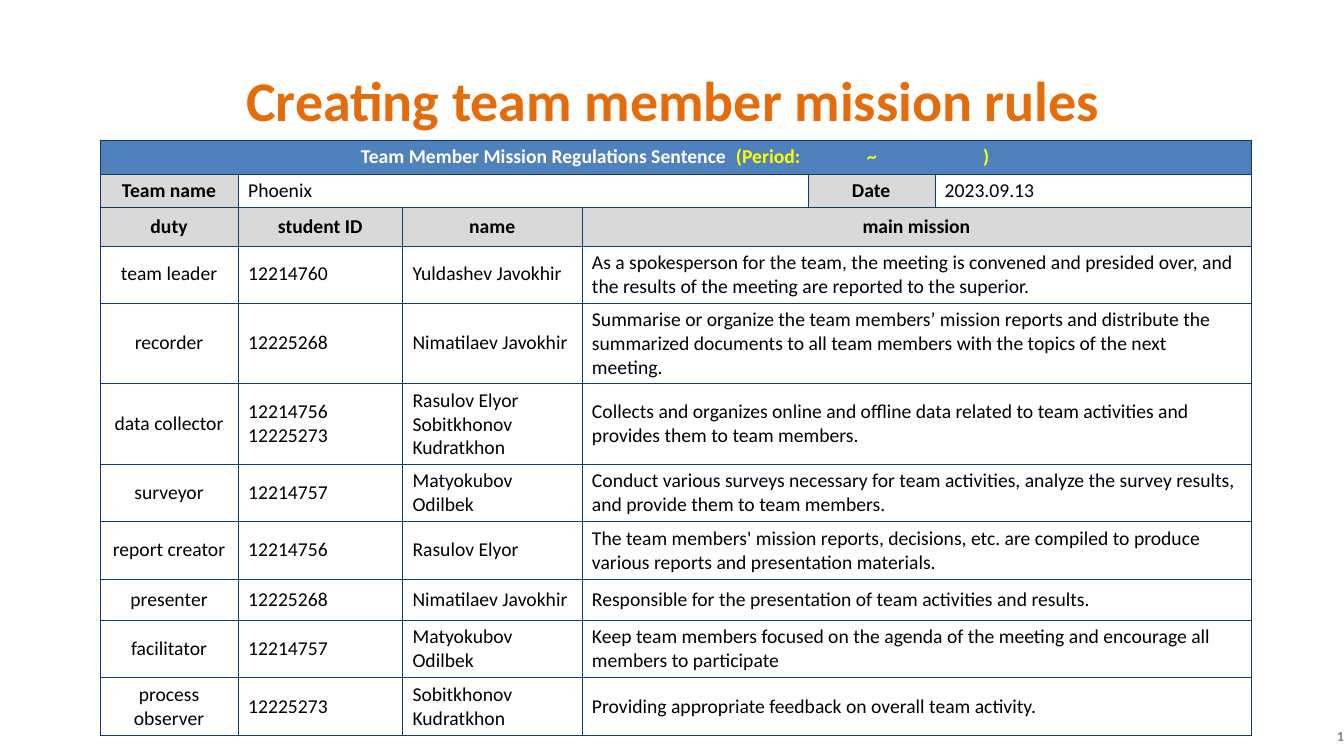
"""Build the team member mission rules slide."""
import pptx
import pptx.dml.color
import pptx.enum.text
import pptx.oxml.xmlchemy
import pptx.util
from lxml import etree
from pptx.oxml import ns

Pt = pptx.util.Pt
ALIGN = pptx.enum.text.PP_ALIGN
MIDDLE = pptx.enum.text.MSO_ANCHOR.MIDDLE

TITLE = "Creating team member mission rules"
PAGE = "1"
BANNER = [("\tTeam Member Mission Regulations Sentence", "white"),
          ("\t(Period:\t~\t)", "yellow")]
TEAM = ["Team name", "Phoenix", "Date", "2023.09.13"]
HEADINGS = ["duty", "student ID", "name", "main mission"]
MEMBERS = [
    ("team leader", "12214760", "Yuldashev Javokhir",
     "As a spokesperson for the team, the meeting is convened and presided over, "
     "and the results of the meeting are reported to the superior."),
    ("recorder", "12225268", "Nimatilaev Javokhir",
     "Summarise or organize the team members’ mission reports and distribute the "
     "summarized documents to all team members with the topics of the next meeting."),
    ("data collector", "12214756\n12225273", "Rasulov Elyor\nSobitkhonov Kudratkhon",
     "Collects and organizes online and offline data related to team activities "
     "and provides them to team members."),
    ("surveyor", "12214757", "Matyokubov Odilbek",
     "Conduct various surveys necessary for team activities, analyze the survey "
     "results, and provide them to team members."),
    ("report creator", "12214756", "Rasulov Elyor",
     "The team members' mission reports, decisions, etc. are compiled to produce "
     "various reports and presentation materials."),
    ("presenter", "12225268", "Nimatilaev Javokhir",
     "Responsible for the presentation of team activities and results."),
    ("facilitator", "12214757", "Matyokubov Odilbek",
     "Keep team members focused on the agenda of the meeting and encourage all "
     "members to participate"),
    ("process observer", "12225273", "Sobitkhonov Kudratkhon",
     "Providing appropriate feedback on overall team activity."),
]

THEME = {
    "font": "Calibri",
    "sizes": {"title": 40, "table": 14, "page": 10},
    "colors": {"orange": "E46C0A", "blue": "4F81BD", "navy": "0E3C70", "gray": "D9D9D9",
               "dim": "808080", "white": "FFFFFF", "yellow": "FFFF00", "black": "000000"},
}
SLIDE = (960, 540)
TITLE_BOX = (39, 43, 883, 55.5)
PAGE_BOX = (736, 511, 224, 29)
TABLE_AT = (71.5, 100)
COL_WIDTHS = [98.6, 117.4, 128.2, 161.3, 90.7, 226]
ROW_HEIGHTS = [23, 23, 27.4, 39.6, 39.6, 55.4, 39.6, 39.6, 29.5, 39.6, 41.8]
TEAM_SPANS = [(0, 0), (1, 3), (4, 4), (5, 5)]
MEMBER_SPANS = [(0, 0), (1, 1), (2, 2), (3, 5)]
BANNER_TABS = [179, 447, 540.5, 623.5]
BORDER = 0.25


def rgb(name):
    """Return a theme colour."""
    return pptx.dml.color.RGBColor.from_string(THEME["colors"][name])


def add_run(p, text, size, color, bold):
    """Add one formatted run to a paragraph."""
    r = p.add_run()
    r.text = text
    r.font.name = THEME["font"]
    r.font.size = Pt(THEME["sizes"][size])
    r.font.bold = bold
    r.font.color.rgb = rgb(color)


def fill_text(tf, text, size, color, bold, align):
    """Write each line of text as its own paragraph."""
    for i, line in enumerate(text.split("\n")):
        p = tf.add_paragraph() if i else tf.paragraphs[0]
        p.alignment = align
        add_run(p, line, size, color, bold)


def set_borders(cell):
    """Draw a thin line on all four sides of a cell."""
    tcPr = cell._tc.get_or_add_tcPr()
    for i, side in enumerate(("lnL", "lnR", "lnT", "lnB")):
        ln = etree.Element(ns.qn("a:" + side), w=str(Pt(BORDER)))
        solid = etree.SubElement(ln, ns.qn("a:solidFill"))
        etree.SubElement(solid, ns.qn("a:srgbClr"), val=THEME["colors"]["navy"])
        tcPr.insert(i, ln)


def set_tabs(p, stops):
    """Give a paragraph left tab stops."""
    tabs = etree.SubElement(p._p.get_or_add_pPr(), ns.qn("a:tabLst"))
    for stop in stops:
        etree.SubElement(tabs, ns.qn("a:tab"), pos=str(Pt(stop)), algn="l")


def fill_row(table, row, texts, spans, label_cols, bold_cols):
    """Write one table row, shading its bold cells and centring its labels."""
    for col, (text, (first, last)) in enumerate(zip(texts, spans)):
        cell = table.cell(row, first)
        if last > first:
            cell.merge(table.cell(row, last))
        bold = col in bold_cols
        cell.fill.solid()
        cell.fill.fore_color.rgb = rgb("gray" if bold else "white")
        align = ALIGN.CENTER if col in label_cols else ALIGN.LEFT
        fill_text(cell.text_frame, text, "table", "black", bold, align)


def add_rules_table(s):
    """Add the mission rules table."""
    size = (sum(COL_WIDTHS), sum(ROW_HEIGHTS))
    table = s.shapes.add_table(len(ROW_HEIGHTS), len(COL_WIDTHS),
                               *map(Pt, TABLE_AT + size)).table
    for column, width in zip(table.columns, COL_WIDTHS):
        column.width = Pt(width)
    for row, height in zip(table.rows, ROW_HEIGHTS):
        row.height = Pt(height)
    for cell in table.iter_cells():
        cell.vertical_anchor = MIDDLE
        set_borders(cell)

    banner = table.cell(0, 0)
    banner.merge(table.cell(0, len(COL_WIDTHS) - 1))
    banner.fill.solid()
    banner.fill.fore_color.rgb = rgb("blue")
    p = banner.text_frame.paragraphs[0]
    set_tabs(p, BANNER_TABS)
    for text, color in BANNER:
        add_run(p, text, "table", color, True)

    fill_row(table, 1, TEAM, TEAM_SPANS, {0, 2}, {0, 2})
    fill_row(table, 2, HEADINGS, MEMBER_SPANS, {0, 1, 2, 3}, {0, 1, 2, 3})
    for row, member in enumerate(MEMBERS, start=3):
        fill_row(table, row, member, MEMBER_SPANS, {0}, set())


def main():
    """Build and save the slide."""
    prs = pptx.Presentation()
    prs.slide_width, prs.slide_height = map(Pt, SLIDE)
    s = prs.slides.add_slide(prs.slide_layouts[5])

    title = s.shapes.title
    title.left, title.top, title.width, title.height = map(Pt, TITLE_BOX)
    tf = title.text_frame
    tf.auto_size = pptx.enum.text.MSO_AUTO_SIZE.SHAPE_TO_FIT_TEXT
    tf.vertical_anchor = MIDDLE
    fill_text(tf, TITLE, "title", "orange", True, ALIGN.CENTER)

    add_rules_table(s)

    sp = s.shapes.add_textbox(*map(Pt, PAGE_BOX))
    tf = sp.text_frame
    tf.word_wrap = True
    tf.vertical_anchor = MIDDLE
    tf.margin_right = Pt(0)
    fill_text(tf, PAGE, "page", "dim", True, ALIGN.RIGHT)

    prs.save("out.pptx")


if __name__ == "__main__":
    main()
